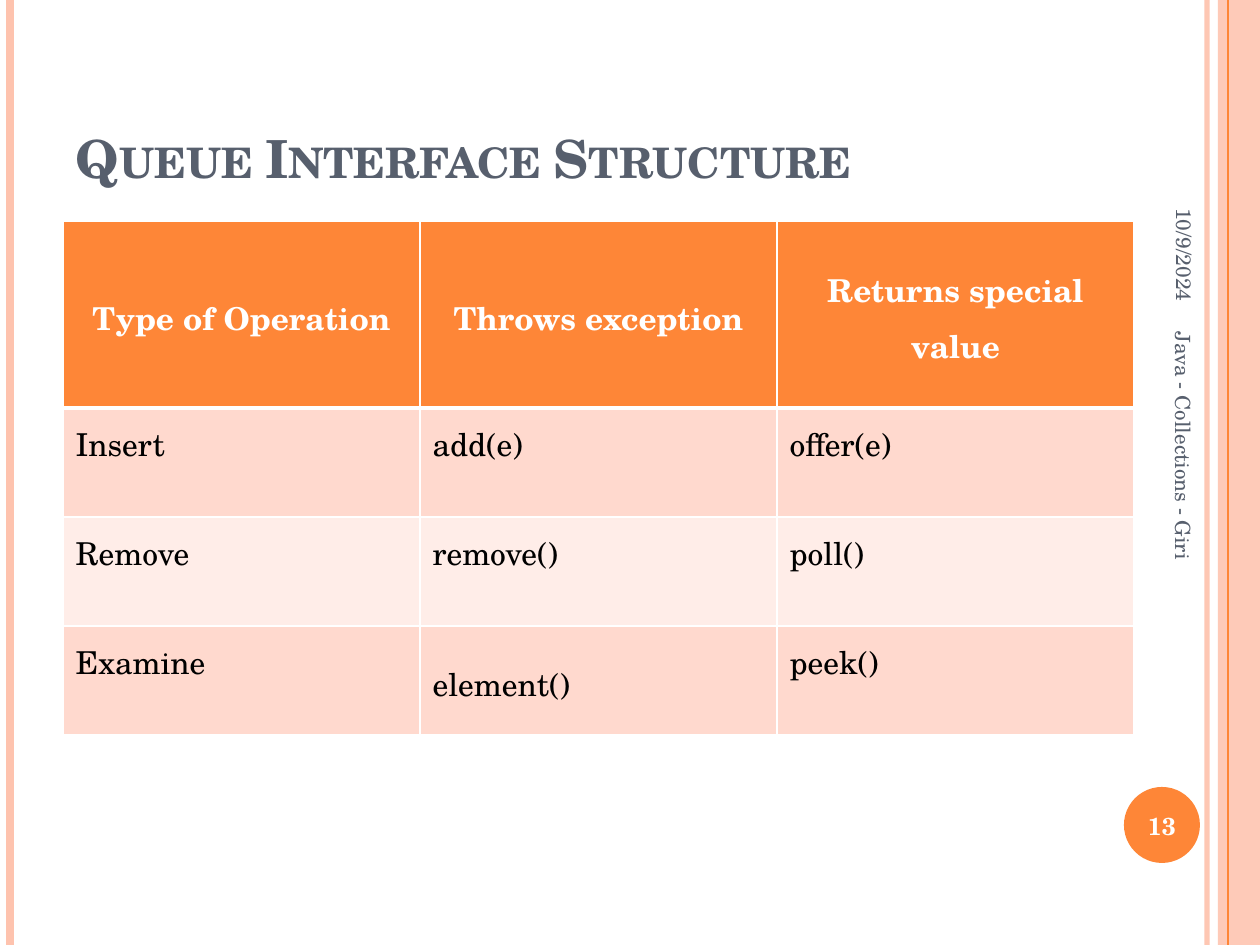
import pptx
import pptx.util
import pptx.dml.color
import pptx.enum.shapes
import pptx.enum.text
import pptx.oxml
import pptx.oxml.ns

# Content
TITLE = "Queue Interface Structure"
ROWS = [
    ("Type of Operation", "Throws exception", "Returns special value"),
    ("Insert", "add(e)", "offer(e)"),
    ("Remove", "remove()", "poll()"),
    ("Examine", "element()", "peek()"),
]
MIDDLE_CELLS = {"element()"}
DATE, FOOTER, NUMBER = "10/9/2024", "Java - Collections - Giri", "13"

# Look
FONT = "TeX Gyre Schola"
COLORS = {"orange": "FE8637", "peach": "FEC3AE", "slate": "575F6D", "white": "FFFFFF",
          "black": "000000", "band": "FFD9CE", "pale": "FFEDE8"}
PX = 914400 // 126
WIDTH, HEIGHT = 1260, 945
HEAD_HEIGHT, ROW_HEIGHT, COLUMN_WIDTH = 187, 109, 357
SHAPE = pptx.enum.shapes.MSO_SHAPE
ALIGN = pptx.enum.text.PP_ALIGN
ANCHOR = pptx.enum.text.MSO_ANCHOR


def px(*values):
    return [pptx.util.Emu(value * PX) for value in values]


def rgb(name):
    return pptx.dml.color.RGBColor.from_string(COLORS[name])


def set_alpha(fill, percent):
    for color in fill.iter(pptx.oxml.ns.qn("a:srgbClr")):
        color.append(pptx.oxml.parse_xml(
            f'<a:alpha {pptx.oxml.ns.nsdecls("a")} val="{percent * 1000}"/>'))


def write(frame, text, size=18, color="black", bold=False, align=ALIGN.LEFT,
          spacing=None, small_caps=False):
    para = frame.paragraphs[0]
    para.alignment = align
    para.line_spacing = spacing
    span = para.add_run()
    span.text = text
    span.font.name, span.font.size, span.font.bold = FONT, pptx.util.Pt(size), bold
    span.font.color.rgb = rgb(color)
    if small_caps:
        span.font._element.set("cap", "small")


def add_rule(page, x, color, weight, alpha=100):
    rule = page.shapes.add_connector(
        pptx.enum.shapes.MSO_CONNECTOR.STRAIGHT, *px(x, 0, x, HEIGHT))
    rule.line.color.rgb = rgb(color)
    rule.line.width = pptx.util.Pt(weight)
    properties = rule._element.spPr
    if alpha < 100:
        set_alpha(properties, alpha)
    properties.append(pptx.oxml.parse_xml(f'<a:effectLst {pptx.oxml.ns.nsdecls("a")}/>'))


def add_block(page, kind, bounds, color, alpha=100):
    block = page.shapes.add_shape(kind, *px(*bounds))
    block.shadow.inherit = False
    block.fill.solid()
    block.fill.fore_color.rgb = rgb(color)
    block.line.fill.background()
    if alpha < 100:
        set_alpha(block._element.spPr, alpha)


def add_label(page, text, bounds, rotation=0, **style):
    box = page.shapes.add_textbox(*px(*bounds))
    box.rotation = rotation
    box.text_frame.word_wrap = True
    box.text_frame.vertical_anchor = ANCHOR.MIDDLE
    write(box.text_frame, text, **style)


def set_borders(cell, bottom):
    properties = cell._tc.get_or_add_tcPr()
    for place, (side, weight) in enumerate([("L", 1), ("R", 1), ("T", 1), ("B", bottom)]):
        properties.insert(place, pptx.oxml.parse_xml(
            f'<a:ln{side} {pptx.oxml.ns.nsdecls("a")} w="{weight * 12700}"><a:solidFill>'
            f'<a:srgbClr val="{COLORS["white"]}"/></a:solidFill></a:ln{side}>'))


def add_operations(page):
    height = HEAD_HEIGHT + ROW_HEIGHT * (len(ROWS) - 1)
    columns = len(ROWS[0])
    table = page.shapes.add_table(
        len(ROWS), columns, *px(63, 221, COLUMN_WIDTH * columns, height)).table
    for column in table.columns:
        column.width = px(COLUMN_WIDTH)[0]
    for i, texts in enumerate(ROWS):
        head = i == 0
        table.rows[i].height = px(HEAD_HEIGHT if head else ROW_HEIGHT)[0]
        for j, text in enumerate(texts):
            cell = table.cell(i, j)
            cell.fill.solid()
            cell.fill.fore_color.rgb = rgb("orange" if head else "band" if i % 2 else "pale")
            middle = head or text in MIDDLE_CELLS
            cell.vertical_anchor = ANCHOR.MIDDLE if middle else ANCHOR.TOP
            set_borders(cell, bottom=3 if head else 1)
            write(cell.text_frame, text, bold=head, color="white" if head else "black",
                  align=ALIGN.CENTER if head else ALIGN.LEFT, spacing=1.15)


def main():
    deck = pptx.Presentation()
    deck.slide_width, deck.slide_height = px(WIDTH, HEIGHT)
    page = deck.slides.add_slide(deck.slide_layouts[5])

    # Side rules, right band and number disc
    add_rule(page, 1207, "peach", 3, alpha=93)
    add_rule(page, 10, "peach", 4.5)
    add_rule(page, 1228, "orange", 1.5)
    add_block(page, SHAPE.RECTANGLE, (1218, 0, 42, HEIGHT), "peach", alpha=87)
    add_rule(page, 1228, "orange", 0.75)
    add_block(page, SHAPE.OVAL, (1124, 787, 76, 76), "orange")

    # Title
    title = page.shapes.title
    title.left, title.top, title.width, title.height = px(63, 38, 1029, 157)
    title.text_frame.vertical_anchor = ANCHOR.BOTTOM
    write(title.text_frame, TITLE, size=30, color="slate", bold=True, small_caps=True)

    # Table
    add_operations(page)

    # Date, number and footer
    add_label(page, DATE, (1046, 149, 277, 53), rotation=90, size=12, color="slate",
              align=ALIGN.RIGHT)
    add_label(page, NUMBER, (1120, 790, 84, 72), size=14, color="white", bold=True,
              align=ALIGN.CENTER)
    add_label(page, FOOTER, (963, 515, 441, 50), rotation=90, size=12, color="slate")

    deck.save("out.pptx")


if __name__ == "__main__":
    main()
